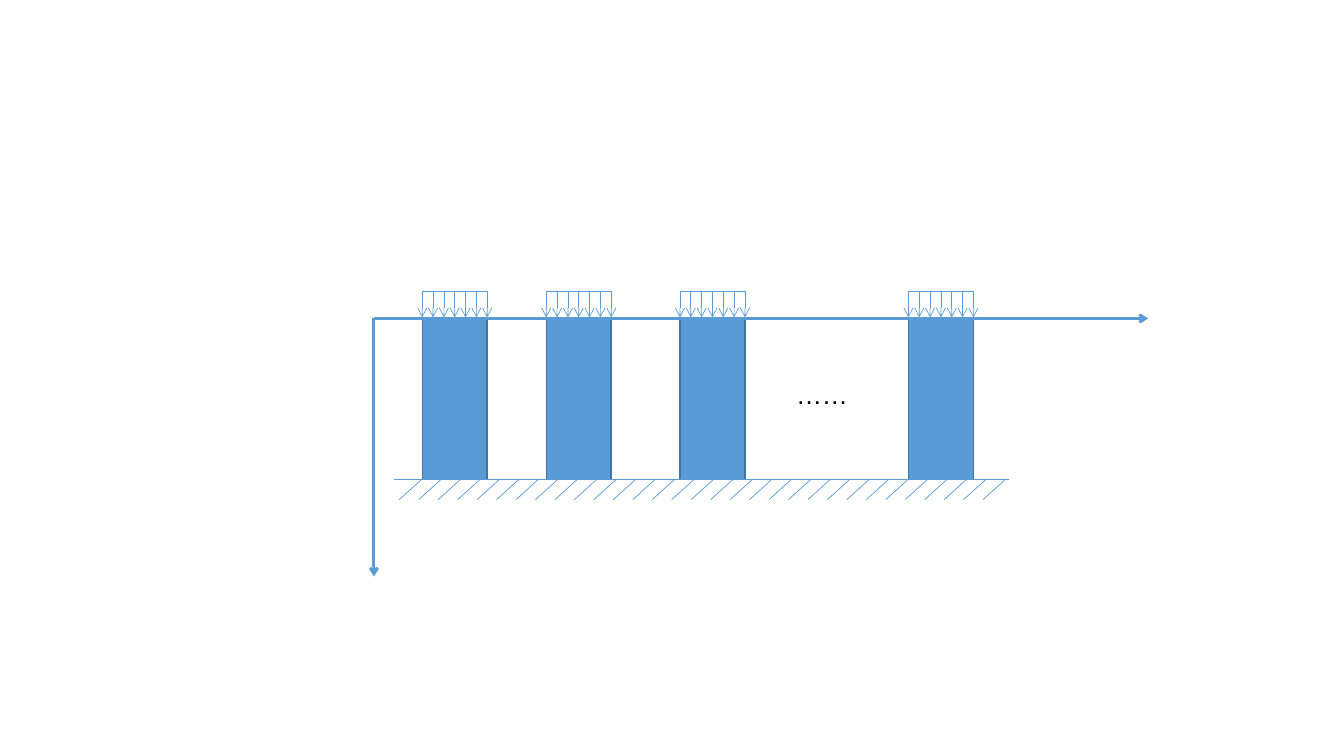
from lxml import etree
from pptx import Presentation
from pptx.dml.color import RGBColor
from pptx.enum.shapes import MSO_CONNECTOR, MSO_SHAPE
from pptx.enum.text import MSO_AUTO_SIZE
from pptx.oxml.ns import qn
from pptx.util import Pt

STRAIGHT = MSO_CONNECTOR.STRAIGHT
RECTANGLE = MSO_SHAPE.RECTANGLE
FIT_SHAPE = MSO_AUTO_SIZE.SHAPE_TO_FIT_TEXT

# Content: all lengths in points
COLUMN_LEFTS = [301.6, 390.2, 485.7, 648.9]
COLUMN_WIDTH, COLUMN_HEIGHT = 46.4, 115.2
ORIGIN_X, ORIGIN_Y = 267.1, 227.5
AXIS_ENDS = [(820.1, ORIGIN_Y), (ORIGIN_X, 411.8)]
LOAD_TOP, LOAD_TIP, LOAD_ARROWS = 208.1, 226.7, 7
GROUND_LEFT, GROUND_RIGHT = 281.5, 720.7
GROUND_Y = ORIGIN_Y + COLUMN_HEIGHT
HATCH_COUNT, HATCH_FIRST, HATCH_STEP = 31, 300.9, 13.9
HATCH_RUN, HATCH_DROP = 15.7, 14.2
ELLIPSIS = "……"
ELLIPSIS_BOX = (561.6, 245.5, 57.6, 33.1)

THEME = {
    "blue": RGBColor(0x5B, 0x9B, 0xD5),
    "edge": RGBColor(0x43, 0x73, 0x9E),
    "text": RGBColor(0, 0, 0),
    "font": "Arial",
    "size": 32,
    "thin": 0.5,
    "outline": 1,
    "axis": 2,
}

presentation = Presentation()
presentation.slide_width, presentation.slide_height = Pt(960), Pt(540)
slide = presentation.slides.add_slide(presentation.slide_layouts[6])


def add_line(x1, y1, x2, y2, width=THEME["thin"], arrow=False):
    line = slide.shapes.add_connector(STRAIGHT, Pt(x1), Pt(y1), Pt(x2), Pt(y2))
    line.line.color.rgb = THEME["blue"]
    line.line.width = Pt(width)
    if arrow:
        outline = line.line._get_or_add_ln()
        etree.SubElement(outline, qn("a:tailEnd"), type="arrow")
    etree.SubElement(line._element.spPr, qn("a:effectLst"))


def add_loaded_column(left):
    column = slide.shapes.add_shape(
        RECTANGLE, Pt(left), Pt(ORIGIN_Y), Pt(COLUMN_WIDTH), Pt(COLUMN_HEIGHT))
    column.shadow.inherit = False
    column.fill.solid()
    column.fill.fore_color.rgb = THEME["blue"]
    column.line.color.rgb = THEME["edge"]
    column.line.width = Pt(THEME["outline"])

    # Evenly distributed load on top of the column
    add_line(left, LOAD_TOP, left + COLUMN_WIDTH, LOAD_TOP)
    for index in range(LOAD_ARROWS):
        x = left + index * COLUMN_WIDTH / (LOAD_ARROWS - 1)
        add_line(x, LOAD_TOP, x, LOAD_TIP, arrow=True)


# Columns with their loads
for column_left in COLUMN_LEFTS:
    add_loaded_column(column_left)

# Hatched ground
add_line(GROUND_LEFT, GROUND_Y, GROUND_RIGHT, GROUND_Y)
for index in range(HATCH_COUNT):
    x = HATCH_FIRST + index * HATCH_STEP
    add_line(x, GROUND_Y, x - HATCH_RUN, GROUND_Y + HATCH_DROP)

# Ellipsis between the third and the last column
text_box = slide.shapes.add_textbox(*map(Pt, ELLIPSIS_BOX))
text_frame = text_box.text_frame
text_frame.word_wrap = False
text_frame.auto_size = FIT_SHAPE
run = text_frame.paragraphs[0].add_run()
run.text = ELLIPSIS
run.font.name = THEME["font"]
run.font.size = Pt(THEME["size"])
run.font.color.rgb = THEME["text"]
run._r.get_or_add_rPr().set("baseline", "-25000")

# Axes
for end_x, end_y in AXIS_ENDS:
    add_line(ORIGIN_X, ORIGIN_Y, end_x, end_y, THEME["axis"], arrow=True)

presentation.save("out.pptx")
